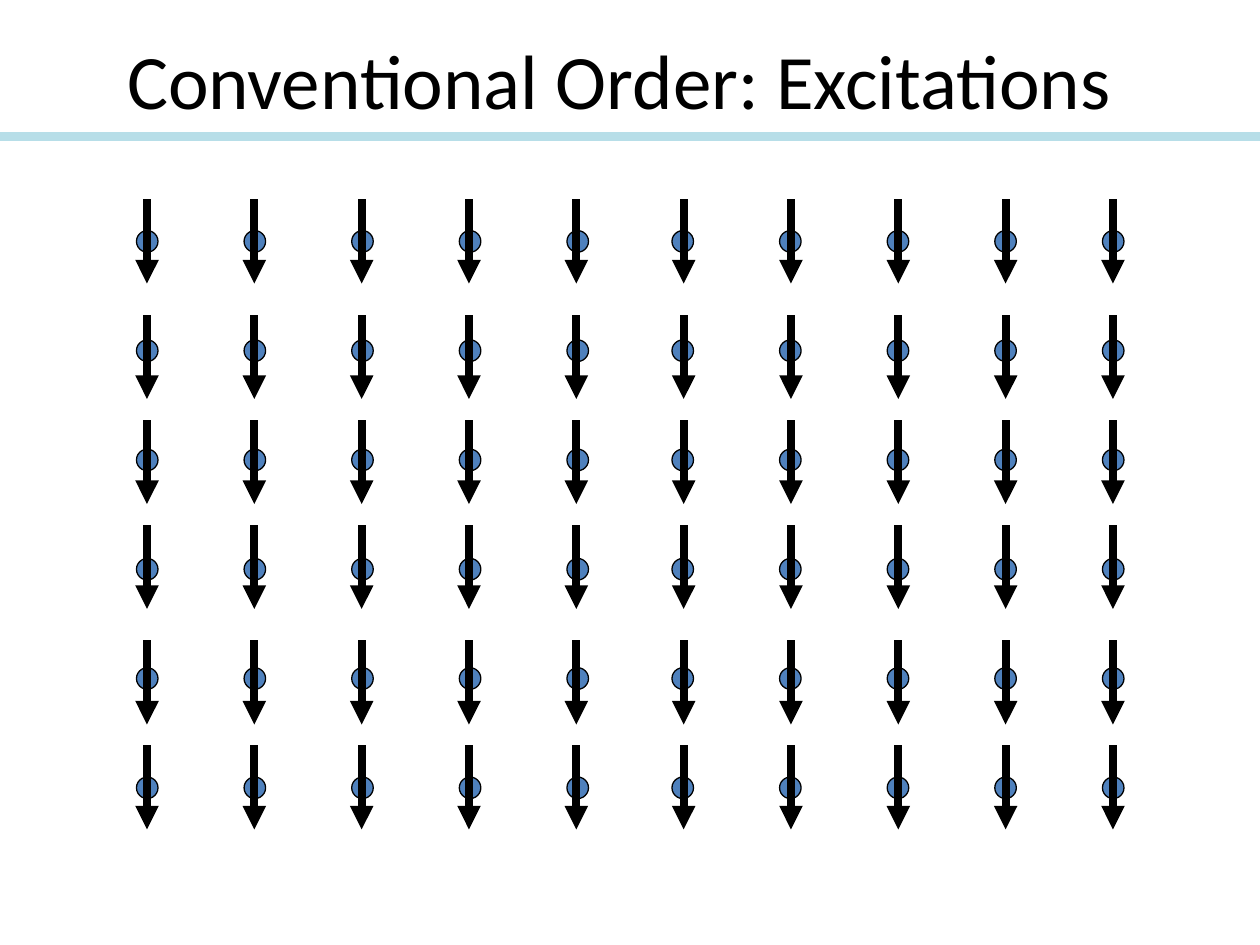
"""Build the slide of an ordered spin lattice with its excitations."""
from lxml import etree
from pptx import Presentation
from pptx.dml.color import RGBColor
from pptx.enum.shapes import MSO_CONNECTOR, MSO_SHAPE
from pptx.enum.text import MSO_ANCHOR, PP_ALIGN
from pptx.oxml.ns import qn
from pptx.util import Pt

STRAIGHT = MSO_CONNECTOR.STRAIGHT
OVAL = MSO_SHAPE.OVAL
MIDDLE = MSO_ANCHOR.MIDDLE
CENTER = PP_ALIGN.CENTER

TITLE = "Conventional Order: Excitations"
FONT = "Calibri"
COLORS = {"ink": "000000", "site": "4F81BD", "rule": "B7DEE8"}

COLUMNS, ROWS, HALF = 10, 6, 5
SITE_SIZE, SITE_TOP = 12.3, 131.8
SITE_PITCH_X, SITE_PITCH_Y = 61.5, 62.45
HALF_LEFTS = [78, 384]
SPIN_LEFT, SPIN_RIGHT, SPIN_LENGTH = 84, 636, 48
SPIN_TOPS = [114, 180, 240, 300, 366, 426]


def color(key):
    return RGBColor.from_string(COLORS[key])


def add_line(slide, start, end, key, width, arrow=False):
    line = slide.shapes.add_connector(STRAIGHT, *map(Pt, start + end))
    line.line.color.rgb = color(key)
    line.line.width = Pt(width)
    if arrow:
        etree.SubElement(line.line._get_or_add_ln(), qn("a:headEnd"), type="triangle")
    etree.SubElement(line._element.spPr, qn("a:effectLst"))


def add_site(slide, left, top):
    site = slide.shapes.add_shape(OVAL, Pt(left), Pt(top), Pt(SITE_SIZE), Pt(SITE_SIZE))
    site.shadow.inherit = False
    site.fill.solid()
    site.fill.fore_color.rgb = color("site")
    site.line.color.rgb = color("ink")
    site.line.width = Pt(0.75)


def add_title(slide):
    title = slide.shapes.add_textbox(Pt(30), Pt(0), Pt(648), Pt(90))
    frame = title.text_frame
    frame.word_wrap = True
    frame.vertical_anchor = MIDDLE
    paragraph = frame.paragraphs[0]
    paragraph.alignment = CENTER
    run = paragraph.add_run()
    run.text = TITLE
    run.font.name = FONT
    run.font.size = Pt(44)
    run.font.color.rgb = color("ink")


def main():
    deck = Presentation()
    deck.slide_width, deck.slide_height = Pt(720), Pt(540)
    slide = deck.slides.add_slide(deck.slide_layouts[6])

    for half_left in HALF_LEFTS:
        for row in range(ROWS):
            for column in range(HALF):
                add_site(slide, half_left + column * SITE_PITCH_X, SITE_TOP + row * SITE_PITCH_Y)

    spin_pitch = (SPIN_RIGHT - SPIN_LEFT) / (COLUMNS - 1)
    for top in reversed(SPIN_TOPS):
        for column in range(COLUMNS):
            x = SPIN_LEFT + column * spin_pitch
            add_line(slide, (x, top + SPIN_LENGTH), (x, top), "ink", 4.5, arrow=True)

    add_line(slide, (0, 78), (720, 78), "rule", 5)
    add_title(slide)
    deck.save("out.pptx")


if __name__ == "__main__":
    main()
